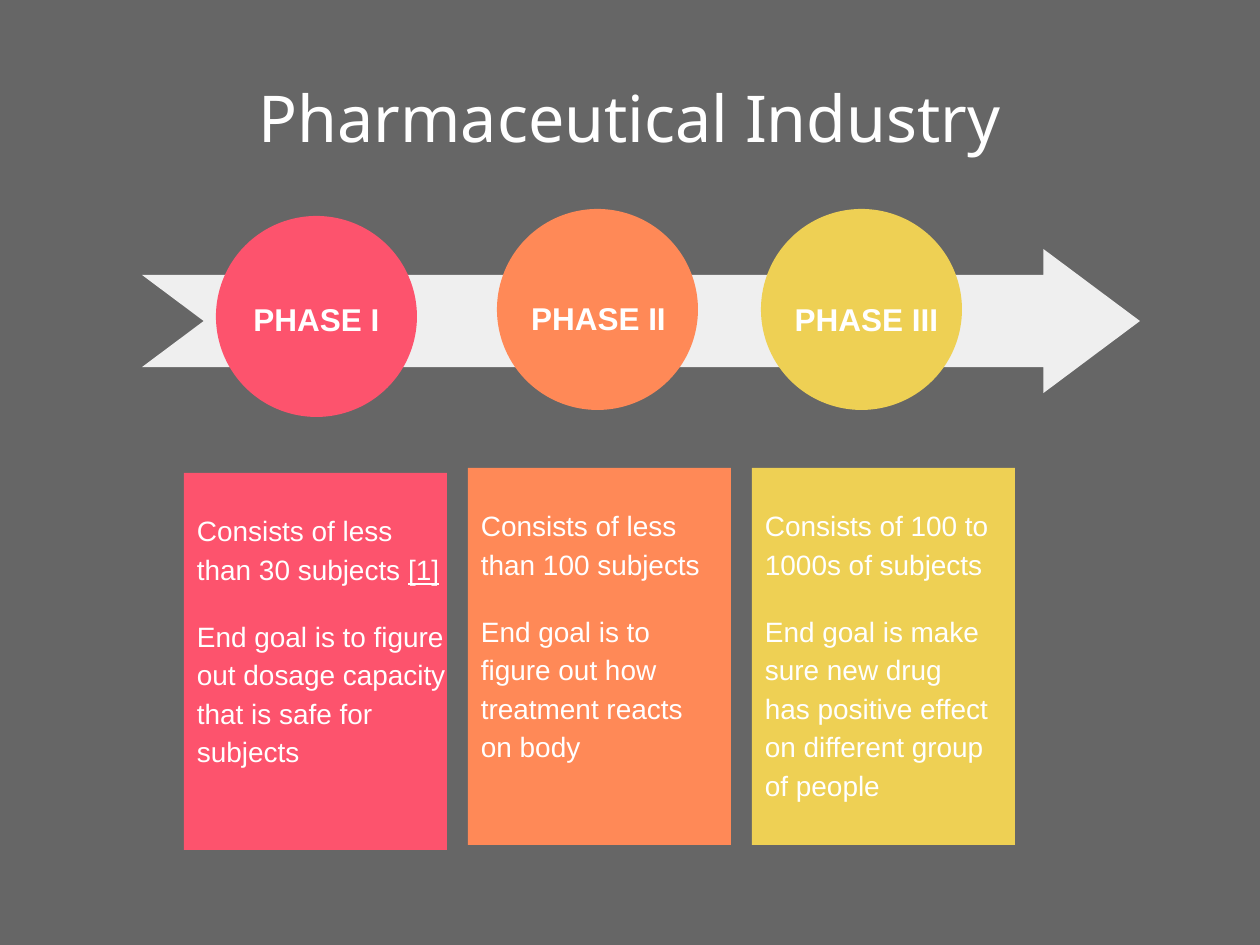
"""Build a slide showing three drug trial phases along an arrow."""
import dataclasses

import pptx
import pptx.dml.color
import pptx.enum.shapes
import pptx.enum.text
import pptx.util


@dataclasses.dataclass(frozen=True)
class Theme:
    background: str = "666666"
    arrow: str = "EFEFEF"
    text: str = "FFFFFF"
    red: str = "FD536D"
    orange: str = "FF8957"
    yellow: str = "EED054"
    title_font: str = "Noto Sans"
    body_font: str = "Arial"
    title_size: float = 36.9
    label_size: int = 18
    body_size: int = 16


THEME = Theme()
EMU_PER_PX = 914400 / 126
SHAPES = pptx.enum.shapes.MSO_SHAPE
ANCHOR = pptx.enum.text.MSO_ANCHOR
ALIGN = pptx.enum.text.PP_ALIGN
rgb = pptx.dml.color.RGBColor.from_string


def emu(*pixels):
    return [round(value * EMU_PER_PX) for value in pixels]


def add_filled(page, kind, bounds, color):
    shape = page.shapes.add_shape(kind, *emu(*bounds))
    shape.shadow.inherit = False
    shape.fill.solid()
    shape.fill.fore_color.rgb = rgb(color)
    shape.line.fill.background()
    return shape


deck = pptx.Presentation()
deck.slide_width, deck.slide_height = emu(1260, 945)
page = deck.slides.add_slide(deck.slide_layouts[5])
page.background.fill.solid()
page.background.fill.fore_color.rgb = rgb(THEME.background)

title = page.shapes.title
title.left, title.top, title.width, title.height = emu(63, 38, 1134, 158)
title.text_frame.text = "Pharmaceutical Industry"
title.text_frame.vertical_anchor = ANCHOR.MIDDLE
para = title.text_frame.paragraphs[0]
para.alignment = ALIGN.CENTER
font = para.runs[0].font
font.name, font.size = THEME.title_font, pptx.util.Pt(THEME.title_size)
font.color.rgb = rgb(THEME.text)

arrow = add_filled(page, SHAPES.NOTCHED_RIGHT_ARROW, (142, 249, 998, 144), THEME.arrow)
arrow.adjustments[0] = 0.64
arrow.adjustments[1] = 0.67

phases = [
    ("PHASE I", THEME.red, (216, 216), (248, 295, 137, 47), 473, 251,
     ["Consists of less than 30 subjects ",
      "End goal is to figure out dosage capacity that is safe for subjects"], "[1]"),
    ("PHASE II", THEME.orange, (497, 209), (530, 294, 137, 47), 468, 227,
     ["Consists of less than 100 subjects",
      "End goal is to figure out how treatment reacts on body"], None),
    ("PHASE III", THEME.yellow, (761, 209), (782, 285, 169, 67), 468, 227,
     ["Consists of 100 to 1000s of subjects",
      "End goal is make sure new drug has positive effect on different group of people"], None),
]

for index, (name, color, corner, label_bounds, card_top, text_width, facts, citation) in enumerate(phases):
    card_left = 184 + 284 * index
    add_filled(page, SHAPES.OVAL, (*corner, 201, 201), color)
    add_filled(page, SHAPES.RECTANGLE, (card_left, card_top, 263, 377), color)

    label = page.shapes.add_textbox(*emu(*label_bounds))
    label.text_frame.text = name
    label.text_frame.vertical_anchor = ANCHOR.MIDDLE
    label.text_frame.paragraphs[0].alignment = ALIGN.CENTER
    label.text_frame.paragraphs[0].runs[0].font.bold = True

    body = page.shapes.add_textbox(*emu(card_left + 13, card_top + 36, text_width, 319))
    body.text_frame.text = "\n".join(facts)
    first, second = body.text_frame.paragraphs
    if citation:
        span = first.add_run()
        span.text = citation
        span.font.underline = True
    first.line_spacing = second.line_spacing = 1.15
    second.space_before = second.space_after = pptx.util.Pt(THEME.body_size)

    for box, size in ((label, THEME.label_size), (body, THEME.body_size)):
        frame = box.text_frame
        frame.word_wrap = True
        frame.margin_left = frame.margin_right = frame.margin_top = frame.margin_bottom = 0
        for para in frame.paragraphs:
            for span in para.runs:
                span.font.name = THEME.body_font
                span.font.size = pptx.util.Pt(size)
                span.font.color.rgb = rgb(THEME.text)

deck.save("out.pptx")
